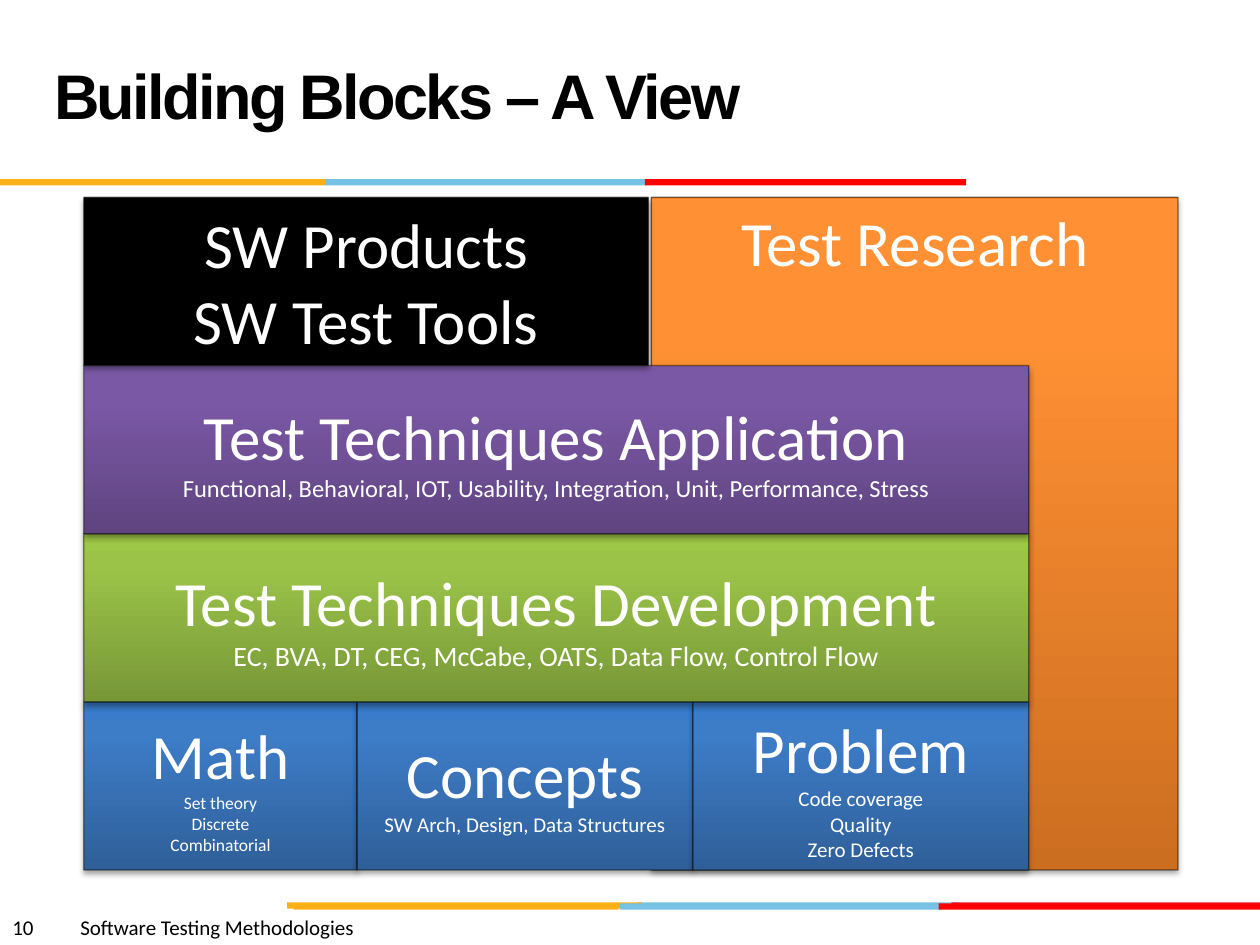
from lxml.etree import SubElement
from pptx import Presentation
from pptx.dml.color import RGBColor
from pptx.enum.shapes import MSO_SHAPE
from pptx.enum.text import MSO_ANCHOR, PP_ALIGN
from pptx.oxml import parse_xml
from pptx.oxml.ns import nsdecls, qn
from pptx.util import Cm, Pt

THEME = {
    "black": "000000", "white": "FFFFFF",
    "gold": "FCB017", "sky": "76C2E5", "red": "FF0000", "crimson": "E31C24",
    "orange": ("CC6E20", "FF9034", "FF9136"),
    "blue": ("2F5F99", "3D7CC7", "3A7CCB"),
    "green": ("779737", "9BC348", "9DC746"),
    "purple": ("5F4480", "7B58A6", "7C57A8"),
    "heading_font": "Arial", "body_font": "Calibri",
    "heading": 36, "footer": 12, "line": 0.75,
}

TITLE = "Building Blocks – A View"
FOOTER = ("10", "Software Testing Methodologies")

STRIPS = [
    (18.19, [(12.85, 6.48, "sky"), (19.18, 6.22, "crimson"), (5.79, 7.16, "gold")]),
    (18.21, [(12.5, 6.48, "sky"), (5.92, 6.55, "gold"), (18.92, 6.48, "red")]),
    (3.61, [(6.55, 6.48, "sky"), (0, 6.55, "gold"), (13, 6.48, "red")]),
]
STRIP_HEIGHT = 0.13

LEFT, TOP, ROW = 1.69, 3.98, 3.39
WIDE = 19.05

BLOCKS = [
    (13.13, 0, 10.62, 4, "orange", ["Test Research"], [], 0),
    (LEFT, 3, 5.51, 1, "blue", ["Math"], ["Set theory", "Discrete", "Combinatorial"], 10),
    (7.2, 3, 6.77, 1, "blue", ["Concepts"], ["SW Arch, Design, Data Structures"], 12),
    (13.97, 3, 6.77, 1, "blue", ["Problem"], ["Code coverage", "Quality", "Zero Defects"], 12),
    (LEFT, 2, WIDE, 1, "green", ["Test Techniques Development"],
     ["EC, BVA, DT, CEG, McCabe, OATS, Data Flow, Control Flow"], 16),
    (LEFT, 1, WIDE, 1, "purple", ["Test Techniques Application"],
     ["Functional, Behavioral, IOT, Usability, Integration, Unit, Performance, Stress"], 14),
    (LEFT, 0, 11.38, 1, "black", ["SW Products", "SW Test Tools"], [], 0),
]


def style(font, size, color, name):
    font.size, font.name = Pt(size), THEME[name]
    font.color.rgb = RGBColor.from_string(THEME[color])


def add_rect(slide, left, top, width, height, color):
    rect = slide.shapes.add_shape(MSO_SHAPE.RECTANGLE, Cm(left), Cm(top), Cm(width), Cm(height))
    rect.shadow.inherit = False
    tint = THEME[color]
    if isinstance(tint, tuple):
        stops = "".join(f'<a:gs pos="{place}"><a:srgbClr val="{shade}"/></a:gs>'
                        for place, shade in zip((0, 80000, 100000), tint))
        rect._element.spPr.find(qn("a:prstGeom")).addnext(parse_xml(
            f'<a:gradFill {nsdecls("a")} rotWithShape="1"><a:gsLst>{stops}</a:gsLst>'
            '<a:lin ang="16200000" scaled="0"/></a:gradFill>'))
    else:
        rect.fill.solid()
        rect.fill.fore_color.rgb = RGBColor.from_string(tint)
    rect.line.fill.background()
    return rect


def add_block(slide, left, row, width, rows, color, headings, details, detail_size):
    block = add_rect(slide, left, TOP + row * ROW, width, rows * ROW, color)
    block.line.color.rgb = RGBColor.from_string(THEME["black"])
    block.line.width = Pt(THEME["line"])
    spPr = block._element.spPr
    SubElement(spPr.find(".//" + qn("a:ln")).find(".//" + qn("a:srgbClr")), qn("a:alpha"), val="50000")
    spPr.find(qn("a:effectLst")).append(parse_xml(
        f'<a:outerShdw {nsdecls("a")} blurRad="40000" dist="23000" dir="5400000" rotWithShape="0">'
        f'<a:srgbClr val="{THEME["black"]}"><a:alpha val="35000"/></a:srgbClr></a:outerShdw>'))
    frame = block.text_frame
    frame.word_wrap = False
    frame.vertical_anchor = MSO_ANCHOR.MIDDLE if rows == 1 else MSO_ANCHOR.TOP
    frame.text = "\n".join(headings + details)
    for index, paragraph in enumerate(frame.paragraphs):
        paragraph.alignment = PP_ALIGN.CENTER
        size = THEME["heading"] if index < len(headings) else detail_size
        style(paragraph.runs[0].font, size, "white", "body_font")


def add_title(slide):
    frame = slide.shapes.add_textbox(Cm(0.84), Cm(0.43), Cm(17.58), Cm(3.18)).text_frame
    frame.word_wrap = True
    frame.vertical_anchor = MSO_ANCHOR.MIDDLE
    frame.text = TITLE
    heading = frame.paragraphs[0]
    heading.line_spacing = Pt(THEME["heading"])
    font = heading.runs[0].font
    style(font, THEME["heading"], "black", "heading_font")
    font.bold = True
    heading.runs[0]._r.get_or_add_rPr().set("spc", "-150")


def add_footer(slide):
    frame = slide.shapes.add_textbox(0, Cm(18.31), Cm(12.7), Cm(0.76)).text_frame
    frame.word_wrap = True
    frame.text = "\t".join(FOOTER)
    line = frame.paragraphs[0]
    tabs = SubElement(line._p.get_or_add_pPr(), qn("a:tabLst"))
    SubElement(tabs, qn("a:tab"), pos=str(Cm(1.37)), algn="l")
    for run in line.runs:
        style(run.font, THEME["footer"], "black", "body_font")


def main():
    deck = Presentation()
    deck.slide_width, deck.slide_height = Cm(25.4), Cm(19.05)
    slide = deck.slides.add_slide(deck.slide_layouts[6])
    for top, bands in STRIPS:
        for left, width, color in bands:
            add_rect(slide, left, top, width, STRIP_HEIGHT, color)
    add_footer(slide)
    add_title(slide)
    for block in BLOCKS:
        add_block(slide, *block)
    deck.save("out.pptx")


if __name__ == "__main__":
    main()
